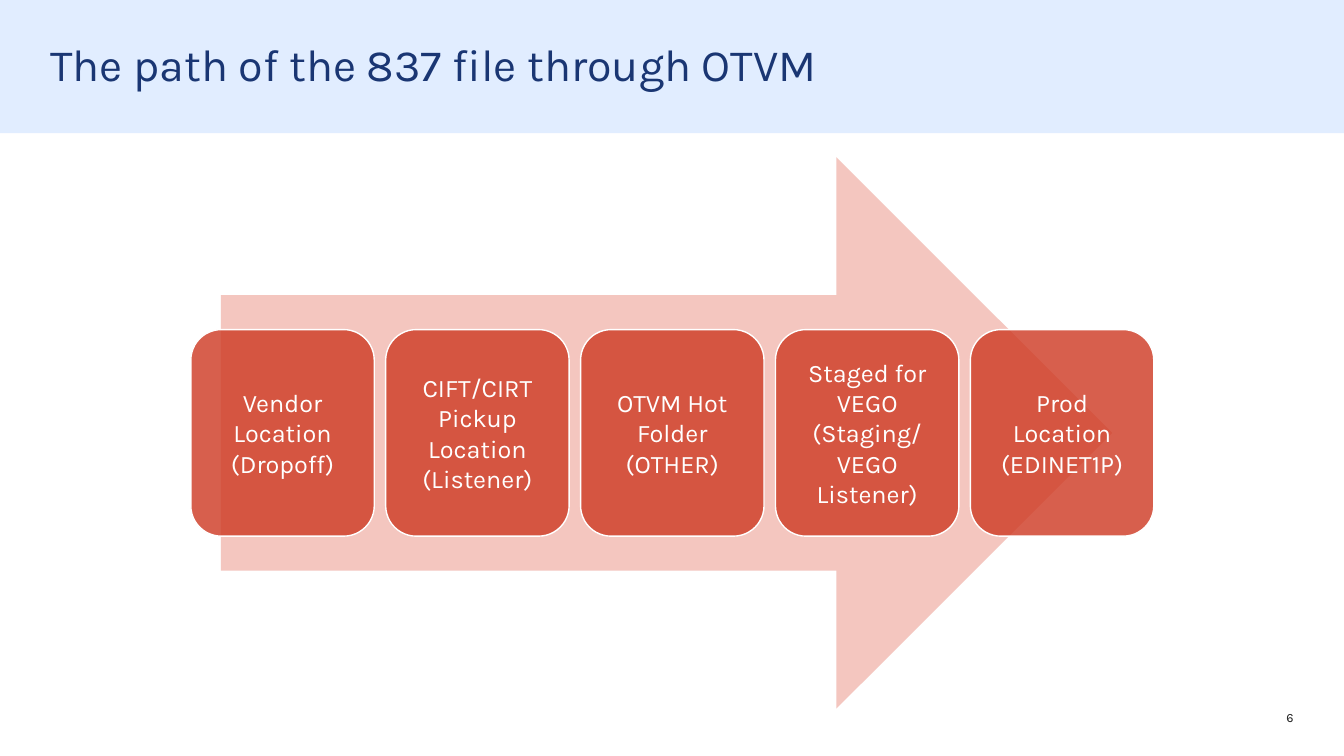
from pptx import Presentation, util as u
from pptx.dml.color import RGBColor
from pptx.enum import shapes, text
from pptx.oxml.ns import qn
from lxml import etree

COLORS = {
    "band": "E1EDFF",
    "title": "1A3673",
    "number": "202020",
    "arrow": "F4C6BF",
    "step": "CE3B24",
    "white": "FFFFFF",
}
STEPS = [
    "Vendor Location (Dropoff)",
    "CIFT/CIRT Pickup Location (Listener)",
    "OTVM Hot Folder (OTHER)",
    "Staged for VEGO (Staging/\vVEGO Listener)",
    "Prod Location (EDINET1P)",
]


class SlideBuilder:
    """Places styled elements; all lengths are percentages of the slide size."""

    font_name = "Karla"

    def __init__(self, presentation):
        self.width = presentation.slide_width
        self.height = presentation.slide_height
        self.slide = presentation.slides.add_slide(presentation.slide_layouts[6])

    def area(self, left, top, width, height):
        return (int(left * self.width / 100), int(top * self.height / 100),
                int(width * self.width / 100), int(height * self.height / 100))

    def set_text(self, shape, words, size, color, align, anchor, inset=0):
        frame = shape.text_frame
        frame.word_wrap = True
        frame.vertical_anchor = anchor
        frame.margin_left = frame.margin_right = u.Inches(inset)
        frame.margin_top = frame.margin_bottom = u.Inches(inset)
        paragraph = frame.paragraphs[0]
        paragraph.text = words
        paragraph.alignment = align
        paragraph.font.name = self.font_name
        paragraph.font.size = u.Pt(size)
        paragraph.font.color.rgb = RGBColor.from_string(COLORS[color])
        return paragraph

    def label(self, area, words, size, color, align, anchor):
        box = self.slide.shapes.add_textbox(*self.area(*area))
        return self.set_text(box, words, size, color, align, anchor)

    def block(self, kind, area, color):
        shape = self.slide.shapes.add_shape(kind, *self.area(*area))
        shape.shadow.inherit = False
        shape.fill.solid()
        shape.fill.fore_color.rgb = RGBColor.from_string(COLORS[color])
        shape.line.fill.background()
        return shape

    def step(self, area, words, opacity=81):
        shape = self.block(shapes.MSO_SHAPE.ROUNDED_RECTANGLE, area, "step")
        fill_color = shape.element.spPr.find(qn("a:solidFill"))[0]
        etree.SubElement(fill_color, qn("a:alpha"), val=str(opacity * 1000))
        shape.line.color.rgb = RGBColor.from_string(COLORS["white"])
        shape.line.width = u.Pt(1)
        self.set_text(shape, words, 18, "white", text.PP_ALIGN.CENTER,
                      text.MSO_ANCHOR.MIDDLE, inset=0.07)


def main():
    presentation = Presentation()
    presentation.slide_width = u.Inches(13.33)
    presentation.slide_height = u.Inches(7.5)
    builder = SlideBuilder(presentation)

    # Title band
    builder.block(shapes.MSO_SHAPE.RECTANGLE, (0, 0, 100, 17.6), "band")
    title = builder.label((3.75, 5.6, 92.5, 12), "The path of the 837 file through OTVM",
                          32, "title", text.PP_ALIGN.LEFT, text.MSO_ANCHOR.TOP)
    title.line_spacing = 0.9

    # Slide number
    builder.label((93.17, 93.87, 3.08, 2), "6", 9, "number",
                  text.PP_ALIGN.RIGHT, text.MSO_ANCHOR.BOTTOM)

    # Process arrow with its steps
    builder.block(shapes.MSO_SHAPE.RIGHT_ARROW, (16.43, 20.8, 66.32, 72.93), "arrow")
    for index, words in enumerate(STEPS):
        builder.step((14.2 + 14.5 * index, 43.6, 13.65, 27.33), words)

    presentation.save("out.pptx")


if __name__ == "__main__":
    main()
